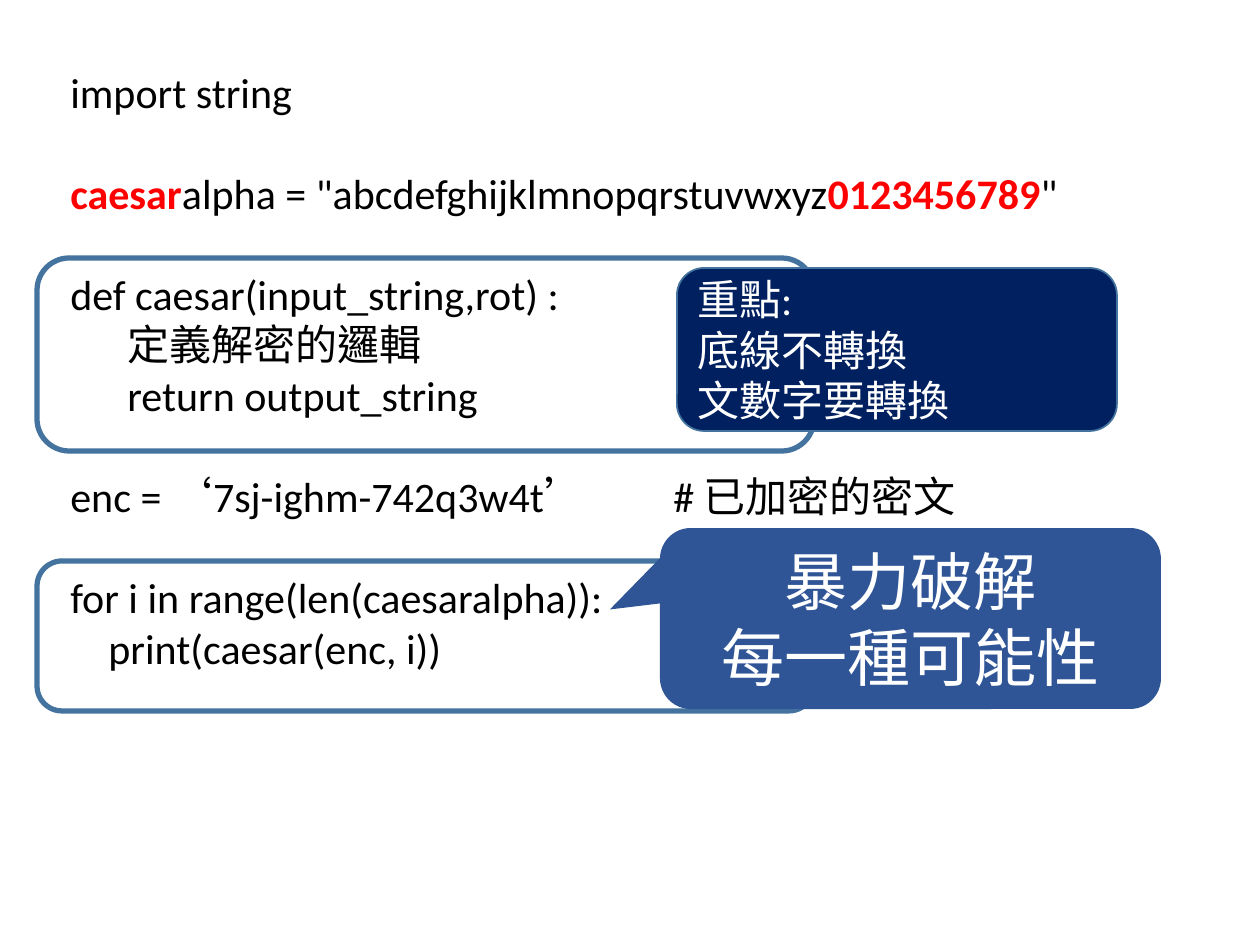
from dataclasses import dataclass
from typing import Optional

from pptx import Presentation
from pptx.dml.color import RGBColor
from pptx.enum.shapes import MSO_SHAPE
from pptx.enum.text import MSO_ANCHOR, MSO_AUTO_SIZE, PP_ALIGN
from pptx.oxml import parse_xml
from pptx.oxml.ns import nsdecls
from pptx.util import Emu, Pt

ROUND = MSO_SHAPE.ROUNDED_RECTANGLE
CALLOUT = MSO_SHAPE.ROUNDED_RECTANGULAR_CALLOUT
LEFT, CENTER = PP_ALIGN.LEFT, PP_ALIGN.CENTER
MIDDLE = MSO_ANCHOR.MIDDLE
GROW = MSO_AUTO_SIZE.SHAPE_TO_FIT_TEXT


@dataclass(frozen=True)
class Theme:
    font: str = "Calibri"
    code_size: int = 24
    callout_size: int = 36
    line_gap: int = 29
    ink: str = "000000"
    accent: str = "FF0000"
    white: str = "FFFFFF"
    outline: str = "43739E"
    navy: str = "002060"
    blue: str = "2F5597"


@dataclass(frozen=True)
class CodeLine:
    segments: tuple[str, ...]  # plain and highlighted text
    indent: int = 0
    gap: bool = False
    tab: int = 0


@dataclass(frozen=True)
class Box:
    x: int
    y: int
    w: int
    h: int
    kind: int = ROUND
    fill: Optional[str] = None
    line: Optional[str] = None
    line_width: int = 1
    adjustments: tuple[float, ...] = ()
    lines: tuple[str, ...] = ()
    size: int = 24
    align: int = LEFT


T = Theme()
HIGHLIGHTS = ("caesar", "0123456789")

CODE = (
    CodeLine(("import string",)),
    CodeLine(("caesar", 'alpha = "abcdefghijklmnopqrstuvwxyz', "0123456789", '"'), gap=True),
    CodeLine(("def caesar(input_string,rot) :",), gap=True),
    CodeLine(("定義解密的邏輯",), indent=57),
    CodeLine(("return output_string",), indent=57),
    CodeLine(("enc = ‘7sj-ighm-742q3w4t’\t# 已加密的密文",), gap=True, tab=603),
    CodeLine(("for i in range(len(caesaralpha)):",), gap=True),
    CodeLine(("print(caesar(enc, i))",), indent=38),
)

BOXES = (
    Box(37, 258, 777, 193, line=T.outline, line_width=3),
    Box(37, 561, 777, 150, line=T.outline, line_width=3),
    Box(660, 528, 501, 181, CALLOUT, fill=T.blue, adjustments=(-0.6, -0.05, 0.17),
        lines=("暴力破解", "每一種可能性"), size=T.callout_size, align=CENTER),
    Box(677, 268, 440, 163, fill=T.navy, line=T.outline,
        lines=("重點:", "底線不轉換", "文數字要轉換"), size=T.code_size),
)


def px(n: int) -> Emu:
    return Emu(round(n * 914400 / 126))


def rgb(color: str) -> RGBColor:
    return RGBColor.from_string(color)


def style(p, size: int, color: str) -> None:
    p.font.name = T.font
    p.font.size = Pt(size)
    p.font.color.rgb = rgb(color)


def add_run(p, text: str):
    r = p.add_run()
    r.text = text
    r._r.get_or_add_rPr().set("lang", "zh-TW")
    return r


def next_paragraph(tf, index: int):
    return tf.add_paragraph() if index else tf.paragraphs[0]


def add_code(s, x: int, y: int, w: int, h: int) -> None:
    tf = s.shapes.add_textbox(px(x), px(y), px(w), px(h)).text_frame
    tf.word_wrap = True
    tf.auto_size = GROW
    for i, line in enumerate(CODE):
        p = next_paragraph(tf, i)
        style(p, T.code_size, T.ink)
        if line.gap:
            p.space_before = Pt(T.line_gap)
        pPr = p._p.get_or_add_pPr()
        if line.indent:
            pPr.set("marL", str(px(line.indent)))
        if line.tab:
            tabs = parse_xml(f'<a:tabLst {nsdecls("a")}>'
                             f'<a:tab pos="{px(line.tab)}" algn="l"/></a:tabLst>')
            pPr.insert_element_before(tabs, "a:defRPr", "a:extLst")
        for segment in line.segments:
            r = add_run(p, segment)
            if segment in HIGHLIGHTS:
                r.font.bold = True
                r.font.color.rgb = rgb(T.accent)


def add_box(s, box: Box) -> None:
    sp = s.shapes.add_shape(box.kind, px(box.x), px(box.y), px(box.w), px(box.h))
    sp.shadow.inherit = False
    for i, value in enumerate(box.adjustments):
        sp.adjustments[i] = value
    if box.fill:
        sp.fill.solid()
        sp.fill.fore_color.rgb = rgb(box.fill)
    else:
        sp.fill.background()
    if box.line:
        sp.line.color.rgb = rgb(box.line)
        sp.line.width = Pt(box.line_width)
    else:
        sp.line.fill.background()
    tf = sp.text_frame
    tf.word_wrap = True
    tf.vertical_anchor = MIDDLE
    for i, text in enumerate(box.lines):
        p = next_paragraph(tf, i)
        p.alignment = box.align
        style(p, box.size, T.white)
        add_run(p, text)


def main() -> None:
    prs = Presentation()
    prs.slide_width, prs.slide_height = px(1260), px(945)
    s = prs.slides.add_slide(prs.slide_layouts[6])

    # Code listing
    add_code(s, 58, 60, 1137, 624)

    # Code frames and the notes beside them
    for box in BOXES:
        add_box(s, box)

    prs.save("out.pptx")


if __name__ == "__main__":
    main()
